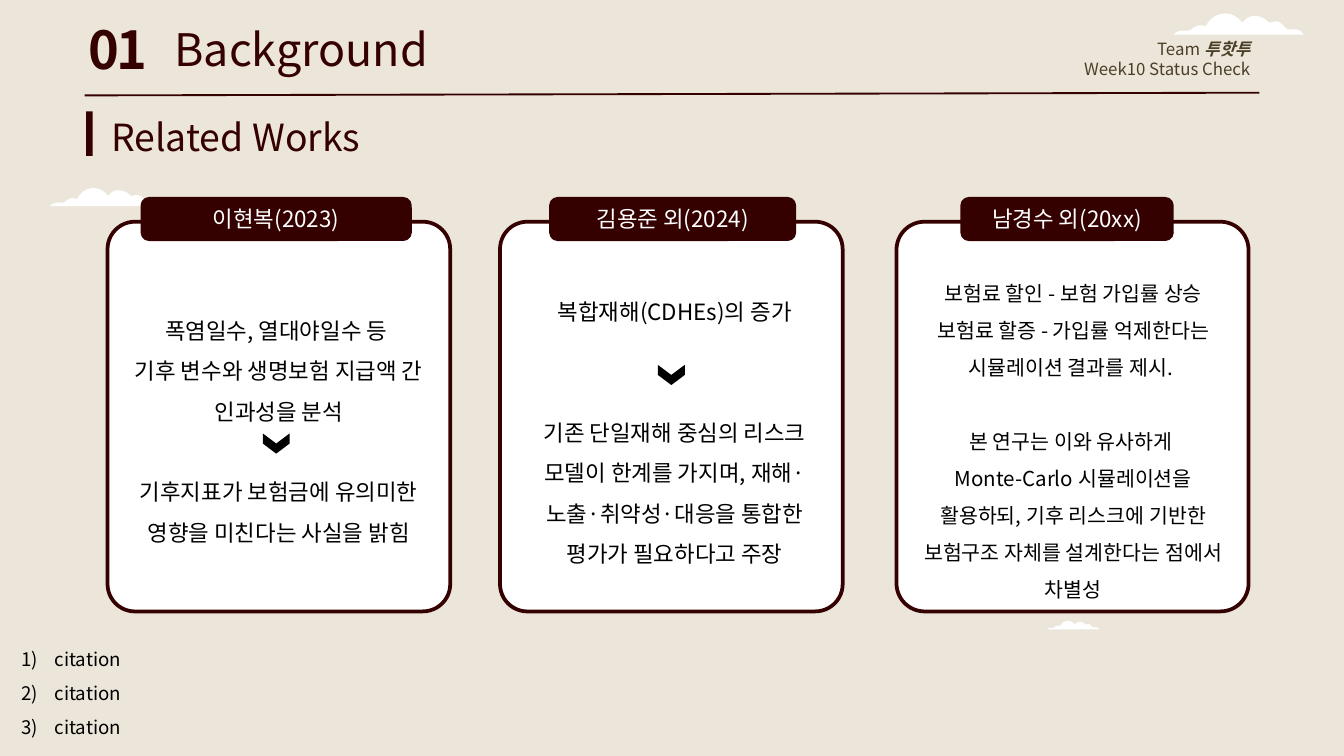
from lxml import etree
from pptx import Presentation
from pptx.dml.color import RGBColor
from pptx.enum.shapes import MSO_CONNECTOR, MSO_SHAPE
from pptx.enum.text import MSO_ANCHOR, PP_ALIGN
from pptx.oxml.ns import qn
from pptx.util import Inches, Pt

LEFT, CENTER, RIGHT = PP_ALIGN.LEFT, PP_ALIGN.CENTER, PP_ALIGN.RIGHT
TOP, MIDDLE = MSO_ANCHOR.TOP, MSO_ANCHOR.MIDDLE
RECT, ROUNDED, CHEVRON = MSO_SHAPE.RECTANGLE, MSO_SHAPE.ROUNDED_RECTANGLE, MSO_SHAPE.CHEVRON
STRAIGHT = MSO_CONNECTOR.STRAIGHT

CARD_TOP = 1.65
CLOUD_WIDTH = 98
CLOUD_LEFT = [
    (39, 0), (33, 0), (27, 4), (25, 9), (24, 10), (22, 9), (20, 9),
    (18, 9), (17, 10), (15, 11), (14, 12), (13, 13), (11, 13),
    (10, 13), (8, 13), (7, 13), (4, 13), (2, 14), (0, 16),
]
CLOUD_RIGHT = [
    (98, 16), (96, 13), (94, 12), (91, 12), (89, 12), (88, 12), (86, 12),
    (83, 11), (82, 6), (77, 6), (75, 6), (73, 8), (71, 6),
    (68, 3), (65, 2), (61, 2), (58, 2), (55, 3), (53, 6),
    (52, 7), (51, 6.5), (51, 6), (48, 2), (43, 0), (39, 0),
]


def rgb(value):
    return RGBColor.from_string(value)


def curve(points, steps=6):
    result = [points[0]]
    for i in range(0, len(points) - 1, 3):
        for k in range(1, steps + 1):
            t = k / steps
            weights = ((1 - t) ** 3, 3 * t * (1 - t) ** 2, 3 * t * t * (1 - t), t ** 3)
            result.append(tuple(
                sum(w * pt[axis] for w, pt in zip(weights, points[i:i + 4]))
                for axis in (0, 1)
            ))
    return result


class Deck:
    FONT = "Noto Sans CJK KR"
    DARK, BROWN, BLACK, WHITE, PAPER = "350000", "4B3F27", "000000", "FFFFFF", "ECE6DA"

    def __init__(self, width):
        self.prs = Presentation()
        self.prs.slide_width, self.prs.slide_height = Inches(width), Inches(width * 9 / 16)
        self.s = self.prs.slides.add_slide(self.prs.slide_layouts[6])
        fill = self.s.background.fill
        fill.solid()
        fill.fore_color.rgb = rgb(self.PAPER)

    def paint(self, sp, fill, line=None, width=2):
        sp.shadow.inherit = False
        sp.fill.solid()
        sp.fill.fore_color.rgb = rgb(fill)
        if line:
            sp.line.color.rgb = rgb(line)
            sp.line.width = Pt(width)
        else:
            sp.line.fill.background()
        return sp

    def shape(self, kind, box, fill, line=None):
        sp = self.s.shapes.add_shape(kind, *map(Inches, box))
        return self.paint(sp, fill, line)

    def arrow(self, x, y):
        self.shape(CHEVRON, (x, y, 0.15, 0.2), self.BLACK).rotation = 90

    def cloud(self, x, y, width):
        outline = [(px * 100, py * 100) for px, py in curve(CLOUD_LEFT) + curve(CLOUD_RIGHT)]
        builder = self.s.shapes.build_freeform(
            *map(round, outline[0]), scale=Inches(width) / (CLOUD_WIDTH * 100))
        builder.add_line_segments(outline[1:], close=True)
        self.paint(builder.convert_to_shape(Inches(x), Inches(y)), self.WHITE)

    def line(self, x1, y1, x2, y2):
        sp = self.s.shapes.add_connector(STRAIGHT, *map(Inches, (x1, y1, x2, y2)))
        sp.line.color.rgb = rgb(self.DARK)
        sp.line.width = Pt(1)
        etree.SubElement(sp._element.spPr, qn("a:effectLst"))

    def style(self, p, size, color, align=LEFT, bold=None, spacing=None):
        p.alignment = align
        p.font.name = self.FONT
        p.font.size = Pt(size)
        p.font.bold = bold
        p.font.color.rgb = rgb(color)
        props = p._p.get_or_add_pPr().find(qn("a:defRPr"))
        etree.SubElement(props, qn("a:ea"), typeface=self.FONT)
        if spacing:
            props.set("spc", str(round(spacing * 100)))

    def text(self, box, lines, size, color, align=LEFT, anchor=MIDDLE, inset=0.1,
             leading=None, gaps=None, bold=None, spacing=None):
        tf = self.s.shapes.add_textbox(*map(Inches, box)).text_frame
        tf.word_wrap = True
        tf.vertical_anchor = anchor
        tf.margin_left = tf.margin_right = Inches(0.1)
        tf.margin_top = tf.margin_bottom = Inches(inset)
        for i, line in enumerate(lines):
            p = tf.add_paragraph() if i else tf.paragraphs[0]
            p.text = line
            self.style(p, size, color, align, bold, spacing)
            if leading:
                p.line_spacing = leading
            if gaps and i in gaps:
                p.space_before = Pt(gaps[i] * size * 1.8)
        return tf

    def body(self, box, lines, size, gaps=None, align=CENTER):
        return self.text(box, lines, size, self.BLACK, align, TOP, 0.05, 1.5, gaps)

    def numbered(self, box, lines, size):
        for p in self.body(box, lines, size, align=LEFT).paragraphs:
            pPr = p._p.get_or_add_pPr()
            pPr.set("marL", str(Inches(0.25)))
            pPr.set("indent", str(-Inches(0.25)))
            bullet = etree.Element(qn("a:buAutoNum"), type="arabicParenR")
            pPr.find(qn("a:defRPr")).addprevious(bullet)

    def card(self, x, width, tab_x, tab_width, title):
        frame = self.shape(ROUNDED, (x, CARD_TOP, width, 2.9), self.WHITE, self.DARK)
        frame.adjustments[0] = 0.08
        tab = self.shape(ROUNDED, (tab_x, CARD_TOP - 0.17, tab_width, 0.3), self.DARK, self.DARK)
        tf = tab.text_frame
        tf.vertical_anchor = MIDDLE
        p = tf.paragraphs[0]
        p.text = title
        self.style(p, 12, self.WHITE, CENTER)


def main():
    d = Deck(10)
    d.cloud(8.73, 0.1, 0.97)
    d.line(0.63, 0.71, 9.37, 0.69)
    d.text((0.56, 0.11, 0.68, 0.51), ["01"], 28, d.DARK, bold=True, spacing=-1.5)
    d.text((1.2, 0.15, 3.52, 0.43), ["Background"], 24, d.DARK)
    tf = d.text((6.84, 0.22, 2.56, 0.43), ["Team ", "Week10 Status Check"], 9, d.BROWN, RIGHT)
    r = tf.paragraphs[0].add_run()
    r.text = "투핫투"
    r.font.bold = r.font.italic = True
    d.text((0.73, 0.8, 5.3, 0.43), ["Related Works"], 20, d.DARK)
    d.shape(RECT, (0.64, 0.83, 0.05, 0.33), d.DARK)
    d.cloud(0.37, 1.4, 0.82)
    d.cloud(7.79, 4.62, 0.39)

    for card in (
        (0.8, 2.55, 1.06, 1.99, "이현복(2023)"),
        (3.72, 2.55, 4.1, 1.81, "김용준 외(2024)"),
        (6.67, 2.62, 7.16, 1.56, "남경수 외(20xx)"),
    ):
        d.card(*card)

    d.body((0.81, 2.21, 2.53, 1.89), [
        "폭염일수, 열대야일수 등 ",
        "기후 변수와 생명보험 지급액 간 인과성을 분석",
        "기후지표가 보험금에 유의미한 영향을 미친다는 사실을 밝힘",
    ], 12, {2: 1})
    d.body((3.86, 2.07, 2.32, 2.19), [
        "복합재해(CDHEs)의 증가",
        "기존 단일재해 중심의 리스크 모델이 한계를 가지며, 재해·노출·취약성·대응을 통합한 평가가 필요하다고 주장",
    ], 12, {1: 2})
    d.body((6.71, 1.95, 2.55, 2.3), [
        "보험료 할인 - 보험 가입률 상승 보험료 할증 - 가입률 억제한다는 시뮬레이션 결과를 제시. ",
        "본 연구는 이와 유사하게 ",
        "Monte-Carlo 시뮬레이션을 활용하되, 기후 리스크에 기반한 보험구조 자체를 설계한다는 점에서 차별성",
    ], 11, {1: 1})
    d.arrow(1.98, 3.2)
    d.numbered((0.06, 4.69, 7.33, 0.83), ["citation"] * 3, 10)
    d.arrow(4.92, 2.69)
    d.prs.save("out.pptx")


if __name__ == "__main__":
    main()
